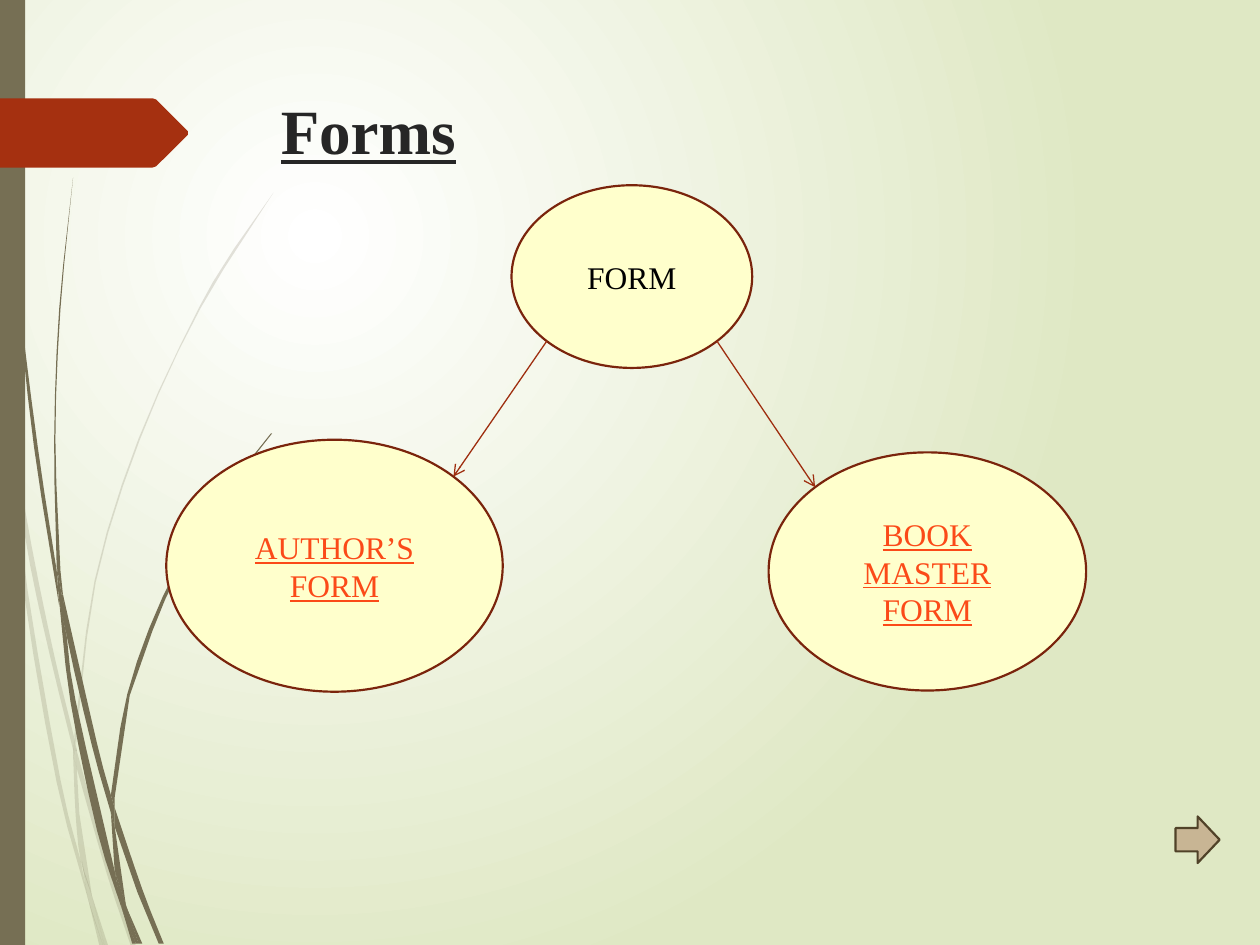
import math
from lxml import etree
from pptx import Presentation, util as u
from pptx.dml.color import RGBColor
from pptx.enum import shapes, text
from pptx.oxml.ns import qn

FONT = "Times New Roman"
OLIVE, RUST = "766F54", "A53010"

# Content: positions in inches
TITLE = ("Forms", (2.13, 0.68, 7.21, 1.4))
NODES = {
    "form": ("FORM", (4.06, 1.47, 1.91, 1.45), "000000", False),
    "author": ("AUTHOR’S FORM", (1.32, 3.49, 2.67, 2), "FB4A18", True),
    "book": ("BOOK MASTER FORM", (6.1, 3.59, 2.52, 1.89), "FB4A18", True),
}
# (from, side of its lower half, to): each arrow ends at the facing upper diagonal
ARROWS = [("form", -1, "author"), ("form", 1, "book")]
TAG = [(0, 0.78), (1.21, 0.78), (1.24, 0.79), (1.49, 1.04), (1.49, 1.07),
       (1.24, 1.32), (1.21, 1.33), (0, 1.33)]

# Grass pieces: the two edges of each, in drawing order
PALE_GRASS = [
    ([(0.08, 3.5), (0.06, 3.22), (0, 2.82)], [(0, 2.99), (0.07, 3.44)]),
    ([(0.59, 5.86), (0.43, 5.2), (0.25, 4.33), (0.1, 3.45)],
     [(0.12, 3.76), (0.24, 4.49), (0.4, 5.22), (0.59, 5.99)]),
    ([(1.08, 7.51), (0.88, 6.92), (0.61, 5.96)], [(0.61, 6.1), (0.85, 6.94), (1.04, 7.51)]),
    ([(0.86, 7.51), (0.73, 7.11)], [(0.83, 7.51)]),
    ([(0.08, 3.5), (0.19, 4.7), (0.45, 6.21), (0.7, 7.14)],
     [(0.64, 6.83), (0.48, 6.19), (0.22, 4.69), (0.12, 3.76)]),
    ([(0.58, 5.99), (0.6, 6.46), (0.64, 6.83), (0.73, 7.11)], [(0.63, 6.46), (0.61, 6.1)]),
    ([(0.61, 5.96), (0.61, 5.84), (0.76, 4.62), (1.11, 3.49), (1.59, 2.45), (2.17, 1.53)],
     [(1.86, 1.97), (1.58, 2.44), (1.1, 3.48), (0.75, 4.61), (0.59, 5.84)]),
    ([(0.7, 7.14), (0.79, 7.51)], [(0.82, 7.51)]),
    ([(0.61, 6.1), (0.61, 5.96)], [(0.59, 5.86), (0.58, 5.99)]),
    ([(0.65, 6.83), (0.7, 7.14), (0.82, 7.51)], [(0.83, 7.51), (0.73, 7.11), (0.67, 6.92)]),
]
DARK_GRASS = [
    ([(0.02, 0), (0.05, 1.1), (0.14, 2.33), (0.27, 3.55), (0.47, 4.81)],
     [(0.45, 4.53), (0.3, 3.55), (0.15, 2.32), (0.06, 1.09), (0.03, 0)]),
    ([(0.5, 4.72), (0.53, 5.05), (0.73, 5.92), (0.88, 6.45)],
     [(0.88, 6.31), (0.77, 5.9), (0.5, 4.72)]),
    ([(0.91, 6.41), (0.91, 6.56)], [(1.09, 7.08), (1.26, 7.49)],
     [(1.3, 7.49), (1.13, 7.06), (0.91, 6.41)]),
    ([(0.47, 4.77), (0.56, 5.57), (0.77, 6.59), (0.97, 7.22)],
     [(0.91, 6.91), (0.6, 5.56), (0.53, 5.05)]),
    ([(0.58, 1.41), (0.47, 2.45), (0.43, 3.49), (0.45, 4.49)],
     [(0.49, 4.72), (0.5, 4.72)], [(0.48, 4.53), (0.44, 3.49), (0.48, 2.45), (0.58, 1.41)]),
    ([(1, 7.19), (1.1, 7.49)], [(1.13, 7.49)]),
    ([(0.45, 4.49), (0.47, 4.77), (0.53, 5.05)], [(0.5, 4.72), (0.49, 4.72)]),
    ([(0.91, 6.41), (0.91, 6.33)], [(1.03, 5.52), (1.31, 4.76), (1.69, 4.06), (2.16, 3.44)],
     [(2.15, 3.44), (1.68, 4.05), (1.29, 4.74), (1.01, 5.51), (0.88, 6.31)]),
    ([(0.97, 7.22), (1.05, 7.49)], [(1.08, 7.49)]),
    ([(0.88, 6.45), (0.91, 6.91)], [(1, 7.19), (0.91, 6.56)]),
    ([(0.88, 6.45), (0.91, 6.56)], [(0.91, 6.41), (0.88, 6.31)]),
    ([(0.91, 6.91), (0.97, 7.22), (1.08, 7.49)], [(1.1, 7.49), (0.96, 7.06)]),
]


def cm(inches):
    return u.Cm(inches * 2.54)


def rgb(value):
    return RGBColor.from_string(value)


def paint(sp, fill, line=None):
    sp.shadow.inherit = False
    sp.fill.solid()
    sp.fill.fore_color.rgb = rgb(fill)
    if line:
        sp.line.color.rgb = rgb(line)
        sp.line.width = u.Pt(1.25)
    else:
        sp.line.fill.background()


def add_preset(s, kind, box, fill, line=None):
    sp = s.shapes.add_shape(kind, *map(cm, box))
    paint(sp, fill, line)
    return sp


def add_outline(s, points, fill, opacity=100):
    points = [(cm(x), cm(y)) for x, y in points]
    builder = s.shapes.build_freeform(*points[0], scale=1.0)
    builder.add_line_segments(points[1:], close=True)
    sp = builder.convert_to_shape()
    paint(sp, fill)
    if opacity < 100:
        color = sp.fill._xPr.find(qn("a:solidFill"))[0]
        etree.SubElement(color, qn("a:alpha"), val=str(opacity * 1000))


def smooth(knots):
    """Catmull-Rom curve through the knots, three steps to a span."""
    if len(knots) < 3:
        return knots
    before = [2 * p - q for p, q in zip(knots[0], knots[1])]
    after = [2 * p - q for p, q in zip(knots[-1], knots[-2])]
    ends = [before, *knots, after]
    curve = [[q + t / 2 * (r - p + t * (2 * p - 5 * q + 4 * r - v
              + t * (3 * (q - r) + v - p))) for p, q, r, v in zip(a, b, c, d)]
             for a, b, c, d in zip(ends, ends[1:], ends[2:], ends[3:])
             for t in (0, 1 / 3, 2 / 3)]
    return curve + [knots[-1]]


def write(sp, content, size, color, underline):
    tf = sp.text_frame
    tf.word_wrap = True
    p = tf.paragraphs[0]
    p.text = content
    p.font.name, p.font.size = FONT, u.Pt(size)
    p.font.color.rgb = rgb(color)
    p.font.underline = underline
    return p


def diagonal(box, dx, dy):
    """Point on an ellipse at 45 degrees."""
    x, y, w, h = box
    k = math.sqrt(0.5) / 2
    return cm(x + w * (0.5 + dx * k)), cm(y + h * (0.5 + dy * k))


prs = Presentation()
prs.slide_width, prs.slide_height = cm(10), cm(7.5)
s = prs.slides.add_slide(prs.slide_layouts[6])

# Radial background
fill = s.background.fill
fill.gradient()
for stop, color, position in zip(fill.gradient_stops, ("FFFFFF", "DFE8C4"), (0, 1)):
    stop.color.rgb, stop.position = rgb(color), position
lin = next(s.background._cSld.iter(qn("a:lin")))
radial = etree.Element(qn("a:path"), path="circle")
etree.SubElement(radial, qn("a:fillToRect"), l="50000", t="50000", r="100000", b="100000")
lin.getparent().replace(lin, radial)

# Grass, side bar and tag
for grass, opacity in ((PALE_GRASS, 20), (DARK_GRASS, 100)):
    for edges in grass:
        add_outline(s, [pt for edge in edges for pt in smooth(edge)], OLIVE, opacity)
add_preset(s, shapes.MSO_SHAPE.RECTANGLE, (0, 0, 0.2, 7.5), OLIVE)
add_outline(s, TAG, RUST)

# Title and next arrow
content, box = TITLE
p = write(s.shapes.add_textbox(*map(cm, box)), content, 36, "262626", True)
p.font.bold = True
add_preset(s, shapes.MSO_SHAPE.RIGHT_ARROW, (9.33, 6.48, 0.35, 0.37), "C8B594", "504228")

# Form tree
for content, box, color, underline in NODES.values():
    sp = add_preset(s, shapes.MSO_SHAPE.OVAL, box, "FFFFCC", "7A240C")
    p = write(sp, content, 18, color, underline)
    p.alignment = text.PP_ALIGN.CENTER
    sp.text_frame.vertical_anchor = text.MSO_ANCHOR.MIDDLE

for start, side, end in ARROWS:
    line = s.shapes.add_connector(shapes.MSO_CONNECTOR.STRAIGHT,
                                  *diagonal(NODES[start][1], side, 1),
                                  *diagonal(NODES[end][1], -side, -1))
    line.line.color.rgb = rgb("9E2E0F")
    line.line.width = u.Pt(0.75)
    etree.SubElement(line.line._get_or_add_ln(), qn("a:tailEnd"), type="arrow")
    etree.SubElement(line._element.spPr, qn("a:effectLst"))

prs.save("out.pptx")
